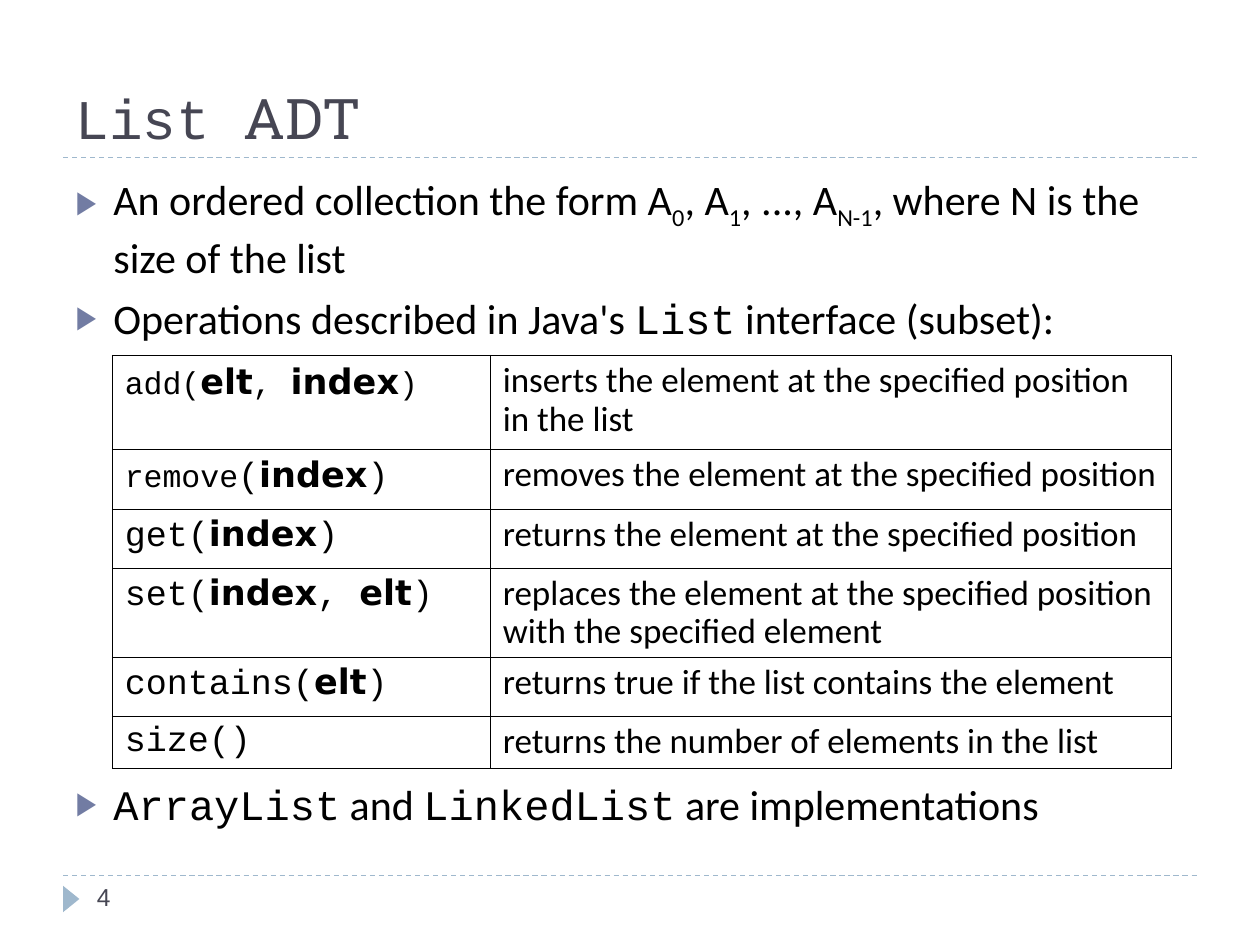
from dataclasses import dataclass

from lxml import etree
from pptx import Presentation
from pptx import util as u
from pptx.dml.color import RGBColor
from pptx.enum import dml, shapes, text
from pptx.oxml import ns

BLACK = RGBColor(0, 0, 0)
SLATE = RGBColor(0x46, 0x46, 0x53)
SKY = RGBColor(0x9F, 0xB8, 0xCD)
INDIGO = RGBColor(0x72, 0x7C, 0xA3)
SANS, MONO, BOLD = "Calibri", "Courier New", "DejaVu Sans"


@dataclass
class Bit:
    text: str
    font: str = SANS
    size: int = 24
    color: RGBColor = BLACK
    bold: bool = False
    base: int = 0


@dataclass
class Point:
    bits: list[Bit]
    gap: float = 6


@dataclass
class Row:
    call: list[Bit]
    note: str
    height: float
    lead: float = 0.9


def code(word: str, size: int = 20) -> Bit:
    return Bit(word, MONO, size)


def arg(word: str) -> Bit:
    return Bit(word, BOLD, 20, bold=True)


def sub(word: str) -> Bit:
    return Bit(word, base=-25000)


def write(para, bits: list[Bit]) -> None:
    for bit in bits:
        run = para.add_run()
        run.text = bit.text
        font = run.font
        font.name, font.size, font.bold = bit.font, u.Pt(bit.size), bit.bold
        font.color.rgb = bit.color
        if bit.base:
            run._r.get_or_add_rPr().set("baseline", str(bit.base))


def node(parent, tag: str, **attrs: str):
    return etree.SubElement(parent, ns.qn(tag), **attrs)


def place(shape, left: float, top: float, width: float, height: float) -> None:
    shape.left, shape.top = u.Inches(left), u.Inches(top)
    shape.width, shape.height = u.Inches(width), u.Inches(height)


def bullet(para) -> None:
    props = para._p.get_or_add_pPr()
    props.set("marL", str(u.Inches(0.3)))
    props.set("indent", str(-u.Inches(0.3)))
    node(node(props, "a:buClr"), "a:srgbClr", val=str(INDIGO))
    node(props, "a:buSzPct", val="76000")
    node(props, "a:buFont", typeface="Arial")
    node(props, "a:buChar", char="▶")


def rule(slide, top: float) -> None:
    line = slide.shapes.add_connector(
        shapes.MSO_CONNECTOR.STRAIGHT,
        u.Inches(0.5), u.Inches(top), u.Inches(9.5), u.Inches(top))
    line.line.color.rgb = SKY
    line.line.width = u.Pt(0.75)
    line.line.dash_style = dml.MSO_LINE.DASH
    node(line._element.spPr, "a:effectLst")


def border(cell) -> None:
    props = cell._tc.get_or_add_tcPr()
    for side in ("L", "R", "T", "B"):
        line = node(props, f"a:ln{side}", w=str(u.Pt(0.45)))
        node(node(line, "a:solidFill"), "a:srgbClr", val=str(BLACK))


def fill(cell, bits: list[Bit], lead: float) -> None:
    border(cell)
    cell.fill.background()
    para = cell.text_frame.paragraphs[0]
    para.line_spacing = lead
    write(para, bits)


def grid(slide, rows: list[Row]) -> None:
    table = slide.shapes.add_table(
        len(rows), 2, u.Inches(0.89), u.Inches(2.82), u.Inches(8.41),
        u.Inches(sum(row.height for row in rows))).table
    table.first_row = table.horz_banding = False
    for col, width in zip(table.columns, (3, 5.41)):
        col.width = u.Inches(width)
    for i, row in enumerate(rows):
        table.rows[i].height = u.Inches(row.height)
        fill(table.cell(i, 0), row.call, row.lead)
        fill(table.cell(i, 1), [Bit(row.note, size=20)], 0.9)


def head(slide) -> None:
    title = slide.shapes.title
    place(title, 0.5, 0.17, 9, 1.08)
    frame = title.text_frame
    frame.auto_size = text.MSO_AUTO_SIZE.NONE
    frame.vertical_anchor = text.MSO_ANCHOR.BOTTOM
    para = frame.paragraphs[0]
    para.alignment = text.PP_ALIGN.LEFT
    write(para, [Bit("List ", MONO, 32, SLATE), Bit("ADT", "Roboto Slab", 32, SLATE)])


def body(slide, points: list[Point]) -> None:
    box = slide.placeholders[1]
    place(box, 0.5, 1.33, 9, 5.4)
    frame = box.text_frame
    frame.auto_size = text.MSO_AUTO_SIZE.NONE
    for i, point in enumerate(points):
        para = frame.add_paragraph() if i else frame.paragraphs[0]
        para.space_before = u.Pt(point.gap)
        bullet(para)
        write(para, point.bits)


def foot(slide) -> None:
    mark = slide.shapes.add_shape(shapes.MSO_SHAPE.ISOSCELES_TRIANGLE, 0, 0, 0, 0)
    place(mark, 0.46, 7.07, 0.21, 0.13)
    mark.rotation = 90
    mark.shadow.inherit = False
    mark.fill.solid()
    mark.fill.fore_color.rgb = SKY
    mark.line.fill.background()
    box = slide.shapes.add_textbox(0, 0, 0, 0)
    place(box, 0.67, 6.95, 2.17, 0.4)
    box.text_frame.word_wrap = True
    write(box.text_frame.paragraphs[0], [Bit("4", "Arial", 14, SLATE)])


POINTS = [
    Point([Bit("An ordered collection the form A"), sub("0"), Bit(", A"), sub("1"),
           Bit(", ..., A"), sub("N-1"), Bit(", where N is the size of the list")]),
    Point([Bit("Operations described in Java's "), code("List", 24),
           Bit(" interface (subset):")]),
    Point([code("ArrayList", 24), Bit(" and "), code("LinkedList", 24),
           Bit(" are implementations")], gap=249),
]
ROWS = [
    Row([code("add(", 18), arg("elt"), code(", ", 18), arg("index"), code(")", 18)],
        "inserts the element at the specified position in the list", 0.75, 1),
    Row([code("remove", 18), code("("), arg("index"), code(")")],
        "removes the element at the specified position", 0.47),
    Row([code("get("), arg("index"), code(")")],
        "returns the element at the specified position", 0.47),
    Row([code("set("), arg("index"), code(", "), arg("elt"), code(")")],
        "replaces the element at the specified position with the specified element", 0.71),
    Row([code("contains("), arg("elt"), code(")")],
        "returns true if the list contains the element", 0.47),
    Row([code("size()")], "returns the number of elements in the list", 0.41),
]


def main() -> None:
    deck = Presentation()
    deck.slide_width, deck.slide_height = u.Inches(10), u.Inches(7.5)
    slide = deck.slides.add_slide(deck.slide_layouts[1])
    for top in (6.95, 1.25):
        rule(slide, top)
    head(slide)
    body(slide, POINTS)
    foot(slide)
    grid(slide, ROWS)
    deck.save("out.pptx")


if __name__ == "__main__":
    main()
